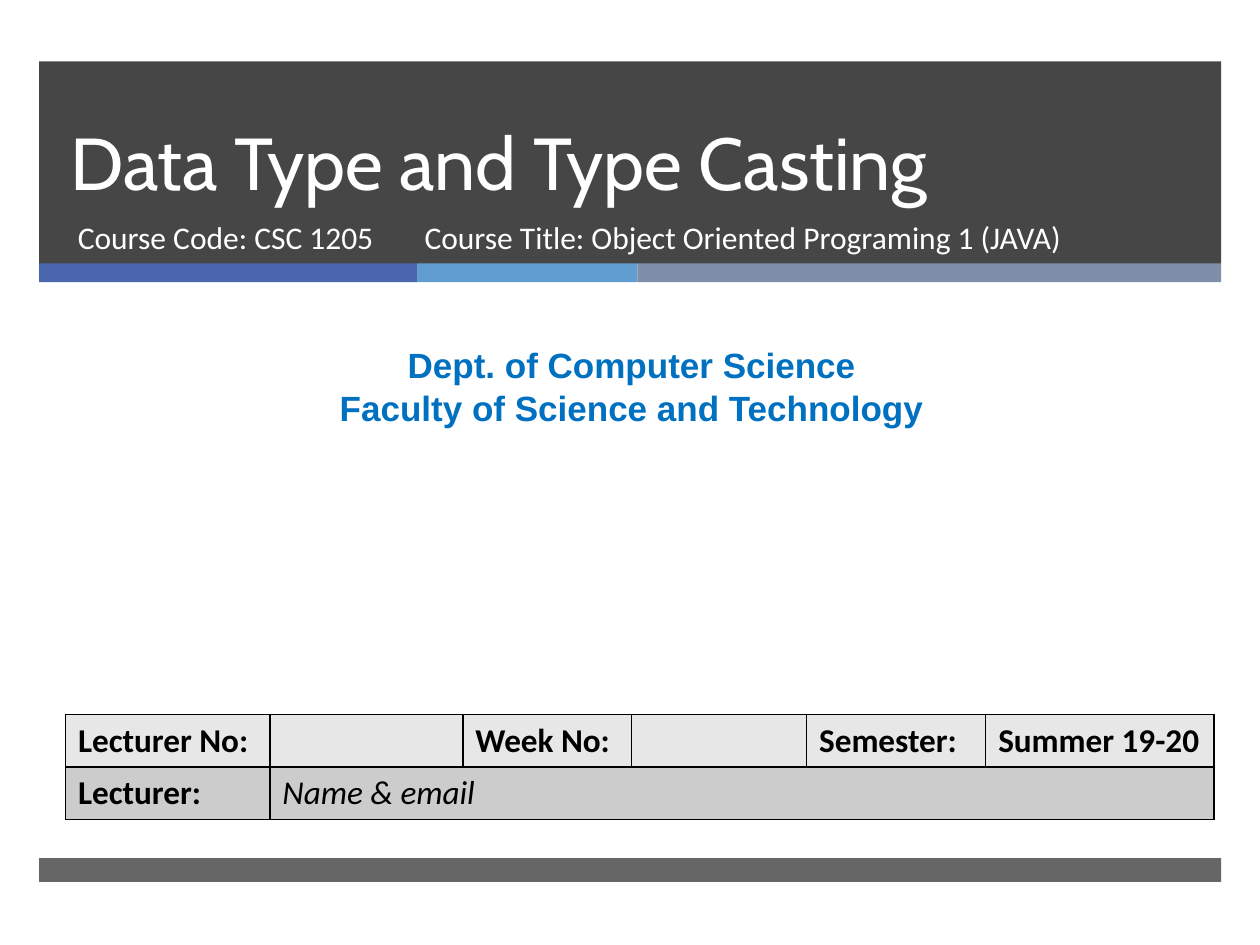
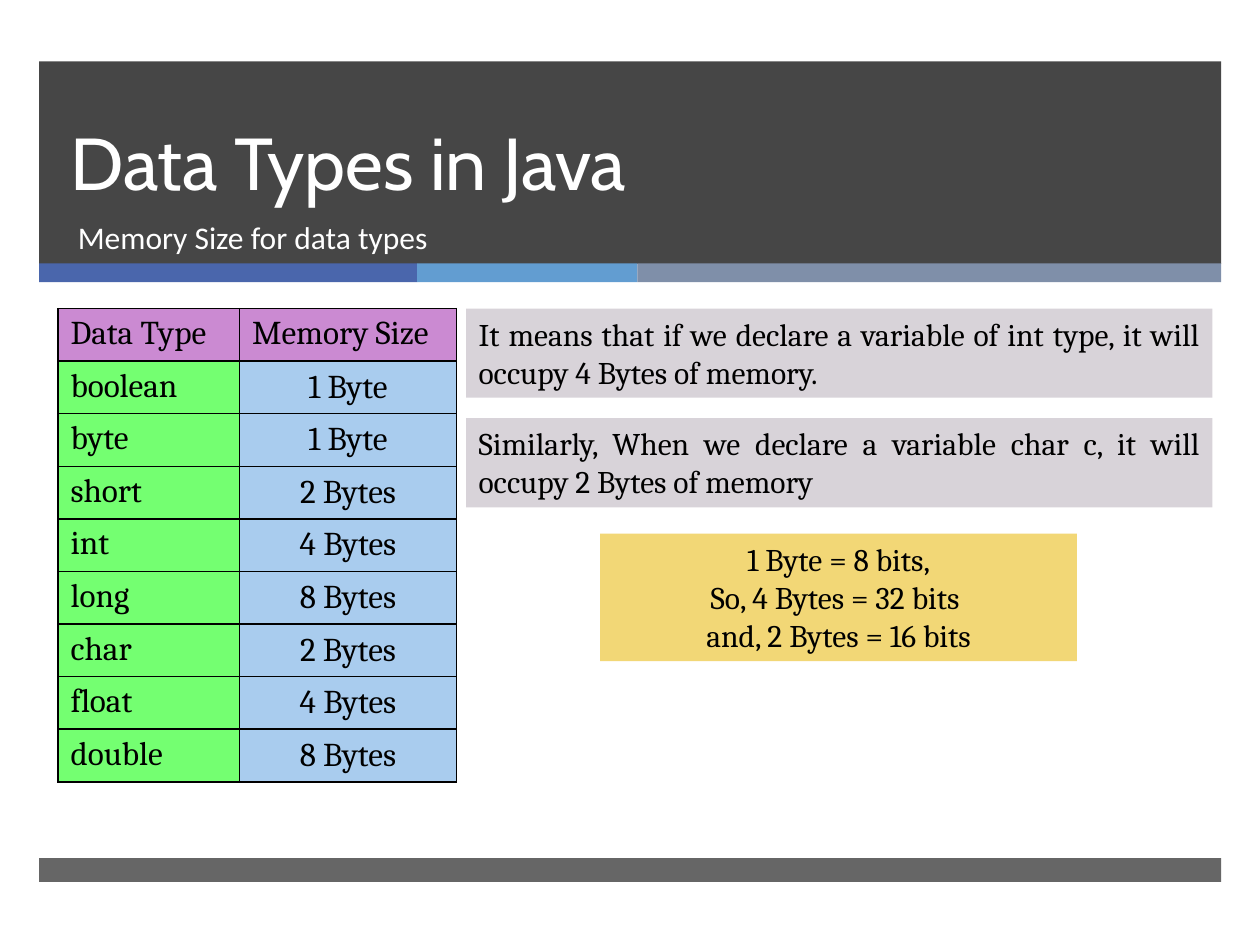
"""Builds two slides on data types and type casting in Java."""
import lxml.etree
import pptx
import pptx.dml.color
import pptx.enum.shapes
import pptx.enum.text
import pptx.oxml
import pptx.oxml.ns
import pptx.util

Cm = pptx.util.Cm
Pt = pptx.util.Pt
ALIGN = pptx.enum.text.PP_ALIGN
ANCHOR = pptx.enum.text.MSO_ANCHOR
qn = pptx.oxml.ns.qn

HUES = {
    "dark": "262626", "white": "FFFFFF", "black": "000000",
    "blue": "4A66AC", "sky": "629DD1", "slate": "7F8FA9", "dept": "0070C0",
    "pale": "E7E7E7", "grey": "CCCCCC", "head": "CB8AD2", "name": "74FF71",
    "size": "A9CCEE", "note": "D8D3D9", "sum": "F2D776",
}

LEFT, WIDE = 0.79, 23.83
BANDS = [("blue", 7.62), ("sky", 4.44), ("slate", 11.77)]

COVER = "Data Type and Type Casting"
CODE = "Course Code: CSC 1205"
COURSE = "Course Title: Object Oriented Programing 1 (JAVA)"
DEPT = ["Dept. of Computer Science", "Faculty of Science and Technology"]
TERM = [
    ["Lecturer No:", "", "Week No:", "", "Semester:", "Summer 19-20"],
    ["Lecturer:", "Name & email", "", "", "", ""],
]
TOPIC = "Data Types in Java"
SUBJECT = "Memory Size for data types"
SIZES = [
    ("Data Type", "Memory Size"),
    ("boolean", "1 Byte"),
    ("byte", "1 Byte"),
    ("short", "2 Bytes"),
    ("int", "4 Bytes"),
    ("long", "8 Bytes"),
    ("char", "2 Bytes"),
    ("float", "4 Bytes"),
    ("double", "8 Bytes"),
]
NOTES = [
    "It means that if we declare a variable of int type, it will occupy 4 Bytes of memory.",
    "Similarly, When we declare a variable char c, it will occupy 2 Bytes of memory",
]
SUMS = ["1 Byte = 8 bits,", "So, 4 Bytes = 32 bits ", "and, 2 Bytes = 16 bits"]


def tint(key):
    return pptx.dml.color.RGBColor.from_string(HUES[key])


def write(frame, lines, face, size, hue, align=ALIGN.LEFT, bold=False, slant=False):
    frame.word_wrap = True
    for n, line in enumerate(lines):
        para = frame.add_paragraph() if n else frame.paragraphs[0]
        para.alignment = align
        run = para.add_run()
        run.text = line
        font = run.font
        font.name, font.size = face, Pt(size)
        font.bold, font.italic = bold, slant
        font.color.rgb = tint(hue)


def add_rect(slide, box, hue, alpha=100):
    kind = pptx.enum.shapes.MSO_SHAPE.RECTANGLE
    rect = slide.shapes.add_shape(kind, *map(Cm, box))
    rect.shadow.inherit = False
    rect.fill.solid()
    rect.fill.fore_color.rgb = tint(hue)
    rect.line.fill.background()
    if alpha < 100:
        shade = rect.fill._xPr.find(".//" + qn("a:srgbClr"))
        lxml.etree.SubElement(shade, qn("a:alpha"), val=str(alpha * 1000))
    return rect


def add_text(slide, box, lines, *style, **extra):
    frame = slide.shapes.add_textbox(*map(Cm, box)).text_frame
    write(frame, lines, *style, **extra)
    return frame


def add_sub(slide, left, wide, text):
    add_text(slide, (left, 4.27, wide, 1.35), [text], "Calibri", 18, "white")


def add_page(deck, title):
    slide = deck.slides.add_slide(deck.slide_layouts[6])
    add_rect(slide, (LEFT, 1.24, WIDE, 4.08), "dark", 85)
    left = LEFT
    for hue, wide in BANDS:
        add_rect(slide, (left, 5.31, wide, 0.38), hue)
        left += wide
    add_rect(slide, (LEFT, 17.3, WIDE, 0.48), "dark", 70)
    frame = add_text(slide, (1.17, 1.24, 21.69, 3.02), [title], "Cabin", 42, "white")
    frame.vertical_anchor = ANCHOR.BOTTOM
    frame.paragraphs[0].line_spacing = Pt(46)
    return slide


def add_grid(slide, left, top, cols, rows, high):
    box = (left, top, sum(cols), high * rows)
    grid = slide.shapes.add_table(rows, len(cols), *map(Cm, box)).table
    grid.first_row = grid.horz_banding = False
    for col, wide in zip(grid.columns, cols):
        col.width = Cm(wide)
    for row in grid.rows:
        row.height = Cm(high)
    return grid


def paint(cell, hue):
    cell.fill.solid()
    cell.fill.fore_color.rgb = tint(hue)
    props = cell._tc.get_or_add_tcPr()
    for n, side in enumerate(("lnL", "lnR", "lnT", "lnB")):
        edge = pptx.oxml.parse_xml(
            f'<a:{side} {pptx.oxml.ns.nsdecls("a")} w="12700"><a:solidFill>'
            f'<a:srgbClr val="{HUES["black"]}"/></a:solidFill></a:{side}>')
        props.insert(n, edge)


def make_cover(deck):
    slide = add_page(deck, COVER)
    add_sub(slide, 1.32, 7.75, CODE)
    add_sub(slide, 8.31, 13.74, COURSE)
    add_text(slide, (0.2, 6.81, 25.07, 1.96), DEPT, "Arial", 20, "dept",
             align=ALIGN.CENTER, bold=True)
    cols = [4.12, 3.89, 3.4, 3.53, 3.61, 4.6]
    grid = add_grid(slide, 1.32, 14.4, cols, len(TERM), 1.05)
    grid.cell(1, 1).merge(grid.cell(1, 5))
    for r, row in enumerate(TERM):
        for c, text in enumerate(row):
            cell = grid.cell(r, c)
            paint(cell, ("pale", "grey")[r])
            if text:
                slant = (r, c) == (1, 1)
                write(cell.text_frame, [text], "Calibri", 19, "black",
                      bold=not slant, slant=slant)


def make_sizes(deck):
    slide = add_page(deck, TOPIC)
    add_sub(slide, 1.32, 21.54, SUBJECT)
    grid = add_grid(slide, 1.17, 6.22, [3.66, 4.37], len(SIZES), 1.06)
    for r, row in enumerate(SIZES):
        for c, text in enumerate(row):
            cell = grid.cell(r, c)
            paint(cell, ("name", "size")[c] if r else "head")
            mid = r and c
            if mid:
                cell.vertical_anchor = ANCHOR.MIDDLE
            write(cell.text_frame, [text], "Cambria", 19, "black",
                  align=ALIGN.CENTER if mid else ALIGN.LEFT)
    cards = [((9.4, 6.22 + 2.21 * n, 15.04, 1.8), "note", [text], ALIGN.JUSTIFY)
             for n, text in enumerate(NOTES)]
    cards.append(((12.1, 10.76, 9.61, 2.57), "sum", SUMS, ALIGN.CENTER))
    for box, hue, lines, align in cards:
        frame = add_rect(slide, box, hue).text_frame
        frame.vertical_anchor = ANCHOR.TOP
        write(frame, lines, "Cambria", 18, "black", align=align)


deck = pptx.Presentation()
deck.slide_width, deck.slide_height = Cm(25.4), Cm(19.05)
make_cover(deck)
make_sizes(deck)
deck.save("out.pptx")
